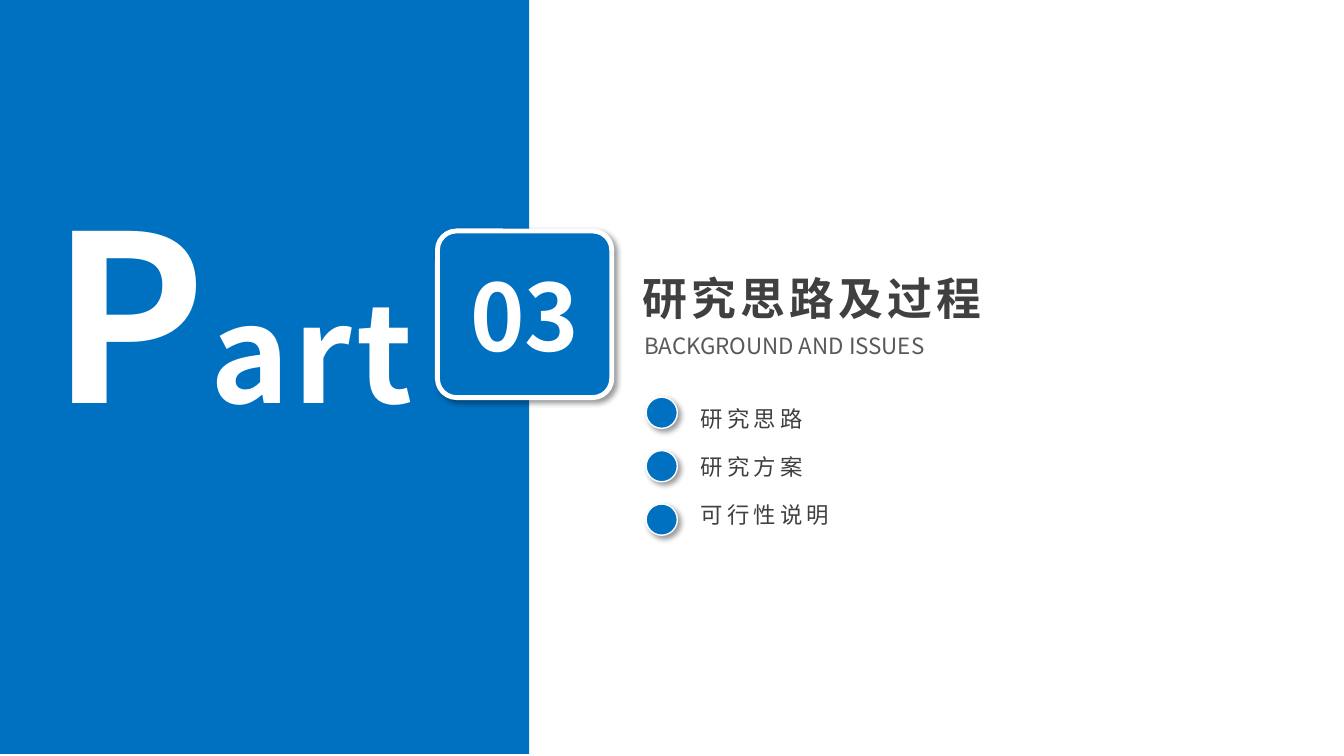
from lxml.etree import SubElement
from pptx import Presentation
from pptx.dml.color import RGBColor
from pptx.enum.shapes import MSO_SHAPE
from pptx.enum.text import MSO_ANCHOR, MSO_AUTO_SIZE, PP_ALIGN
from pptx.oxml import parse_xml
from pptx.oxml.ns import nsdecls, qn
from pptx.util import Pt

COLORS = {"blue": "0070C0", "white": "FFFFFF", "dark": "404040", "gray": "595959", "shadow": "000000"}
FONT = "Noto Sans CJK SC"


def style_text(box, size, color, bold=False, spacing=0, align=PP_ALIGN.LEFT):
    frame = box.text_frame
    frame.word_wrap = True
    frame.auto_size = MSO_AUTO_SIZE.NONE
    frame.vertical_anchor = MSO_ANCHOR.MIDDLE
    for paragraph in frame.paragraphs:
        paragraph.alignment = align
        for run in paragraph.runs:
            run.font.name = FONT
            run.font.size = Pt(size)
            run.font.bold = bold
            run.font.color.rgb = RGBColor.from_string(COLORS[color])
            properties = run.font._element
            SubElement(properties, qn("a:ea"), typeface=FONT)
            if spacing:
                properties.set("spc", str(spacing * 100))


def add_blue_shape(kind, left, top, width, height, outline=0):
    shape = slide.shapes.add_shape(kind, Pt(left), Pt(top), Pt(width), Pt(height))
    shape.shadow.inherit = False
    shape.fill.solid()
    shape.fill.fore_color.rgb = RGBColor.from_string(COLORS["blue"])
    if outline:
        shape.line.color.rgb = RGBColor.from_string(COLORS["white"])
        shape.line.width = Pt(outline)
        effects = shape._element.spPr.find(qn("a:effectLst"))
        effects.append(parse_xml(
            f'<a:outerShdw {nsdecls("a")} blurRad="{Pt(4)}" dist="{Pt(3)}" dir="2700000" '
            f'algn="tl" rotWithShape="0"><a:srgbClr val="{COLORS["shadow"]}">'
            '<a:alpha val="40000"/></a:srgbClr></a:outerShdw>'))
    else:
        shape.line.fill.background()
    return shape


prs = Presentation()
prs.slide_width, prs.slide_height = Pt(960), Pt(540)
slide = prs.slides.add_slide(prs.slide_layouts[1])

add_blue_shape(MSO_SHAPE.RECTANGLE, 0, -1.4, 378, 540)

part = slide.shapes.add_textbox(Pt(-59.8), Pt(118), Pt(451.5), Pt(208))
initial = part.text_frame.paragraphs[0].add_run()
initial.text = "P"
rest = part.text_frame.paragraphs[0].add_run()
rest.text = "art"
style_text(part, 96, "white", True, 3, PP_ALIGN.CENTER)
initial.font.size = Pt(166)

number = add_blue_shape(MSO_SHAPE.ROUNDED_RECTANGLE, 312.5, 165, 124.5, 119, 3.5)
number.adjustments[0] = 0.114
number.text_frame.text = "03"
style_text(number, 66, "white", True, align=PP_ALIGN.CENTER)

title = slide.shapes.title
title.left, title.top, title.width, title.height = Pt(451.5), Pt(189.4), Pt(273), Pt(46)
title.text_frame.text = "研究思路及过程"
style_text(title, 32, "dark", True, 3)

subtitle = slide.shapes.add_textbox(Pt(453), Pt(233.3), Pt(330), Pt(26.6))
subtitle.text_frame.text = "BACKGROUND AND ISSUES"
style_text(subtitle, 16, "gray")

topics = ["研究思路", "研究方案", "可行性说明"]
topic_list = slide.placeholders[1]
topic_list.left, topic_list.top, topic_list.width, topic_list.height = Pt(493.2), Pt(276), Pt(129), Pt(114)
topic_list.text_frame.text = "\n".join(topics)
for index, paragraph in enumerate(topic_list.text_frame.paragraphs):
    indents = paragraph._p.get_or_add_pPr()
    indents.set("marL", "0")
    indents.set("indent", "0")
    SubElement(indents, qn("a:buNone"))
    paragraph.space_before = Pt(15 if index else 0)
    add_blue_shape(MSO_SHAPE.OVAL, 461.5, 283.7 + 38.15 * index, 22.3, 22.3, 1)
style_text(topic_list, 16, "dark", spacing=3)

prs.save("out.pptx")
